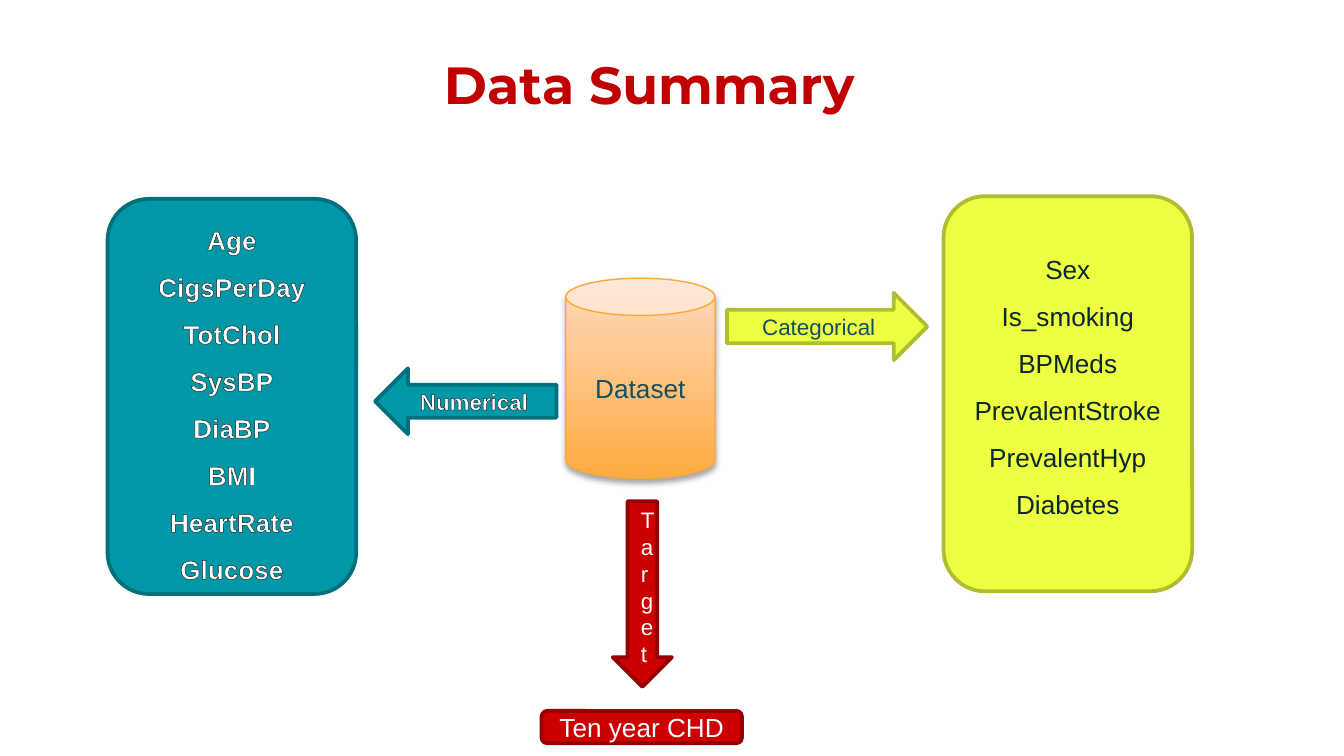
from dataclasses import dataclass

from lxml.etree import SubElement
from pptx import Presentation
from pptx.dml.color import RGBColor
from pptx.enum.shapes import MSO_SHAPE
from pptx.enum.text import MSO_ANCHOR, MSO_AUTO_SIZE, PP_ALIGN
from pptx.oxml.ns import qn
from pptx.util import Inches, Pt

UNIT = 0.1  # grid step in inches: 100 columns across the slide


@dataclass(frozen=True)
class Theme:
    heading_font: str = "Montserrat"
    body_font: str = "Arial"
    title_size: int = 28
    body_size: int = 14
    label_size: int = 12
    title: str = "C00000"
    # Each family is (fill, border, text)
    teal: tuple = ("0097A7", "00707C", "FFFFFF")
    lime: tuple = ("EEFF41", "B0BD30", "0A272E")
    red: tuple = ("CC0000", "970000", "F5FDFF")
    orange: tuple = ("FFAB40", "FEA83A", "134F5C")
    orange_light: str = "FFDAC0"
    # Letter outlines are (colour, width)
    dark_outline: tuple = ("212121", 0.52)
    ink_outline: tuple = ("0A272E", 0.75)
    red_outline: tuple = ("C00000", 0.75)
    red_hairline: tuple = ("C00000", 0)


def grid(*units):
    return [Inches(u * UNIT) for u in units]


def add_solid(parent, color, alpha=None):
    clr = SubElement(parent, qn("a:srgbClr"), val=color)
    if alpha is not None:
        SubElement(clr, qn("a:alpha"), val=str(alpha * 1000))


def write(tf, text, *, size, color, font, bold=False, spacing=None, outline=None):
    """Fill a text frame with one centred paragraph per line of text."""
    for i, line in enumerate(text.split("\n")):
        p = tf.add_paragraph() if i else tf.paragraphs[0]
        p.alignment = PP_ALIGN.CENTER
        if spacing:
            p.line_spacing = spacing
        r = p.add_run()
        r.text = line
        r.font.name, r.font.size, r.font.bold = font, Pt(size), bold
        r.font.color.rgb = RGBColor.from_string(color)
        if outline:
            ln = SubElement(r.font._element, qn("a:ln"), w=str(Pt(outline[1])))
            add_solid(SubElement(ln, qn("a:solidFill")), outline[0])
            r.font._element.insert(0, ln)


class SlideBuilder:
    def __init__(self, prs, theme):
        self.theme = theme
        self.s = prs.slides.add_slide(prs.slide_layouts[5])

    def title(self, text, *box):
        sp = self.s.shapes.title
        sp.left, sp.top, sp.width, sp.height = grid(*box)
        tf = sp.text_frame
        tf.auto_size, tf.word_wrap = MSO_AUTO_SIZE.NONE, True
        tf.vertical_anchor = MSO_ANCHOR.TOP
        tf.margin_left = tf.margin_right = tf.margin_top = tf.margin_bottom = Inches(0.1)
        write(tf, text, size=self.theme.title_size, color=self.theme.title,
              font=self.theme.heading_font, bold=True, spacing=0.9)

    def block(self, kind, text, family, *box, size=None, color=None, border=2, **fmt):
        fill, line, ink = family
        sp = self.s.shapes.add_shape(kind, *grid(*box))
        sp.shadow.inherit = False
        sp.fill.solid()
        sp.fill.fore_color.rgb = RGBColor.from_string(fill)
        sp.line.color.rgb = RGBColor.from_string(line)
        sp.line.width = Pt(border)
        write(sp.text_frame, text, size=size or self.theme.body_size,
              color=color or ink, font=self.theme.body_font, **fmt)
        return sp

    def panel(self, names, family, *box, **fmt):
        return self.block(MSO_SHAPE.ROUNDED_RECTANGLE, "\n".join(names), family,
                          *box, spacing=1.5, **fmt)

    def arrow(self, kind, text, family, *box, **fmt):
        return self.block(kind, text, family, *box, size=self.theme.label_size, **fmt)

    def cylinder(self, text, *box):
        t = self.theme
        sp = self.block(MSO_SHAPE.CAN, text, t.orange, *box, border=0.75,
                        outline=t.ink_outline)
        sp.fill.gradient()
        sp.fill.gradient_angle = 90
        for stop, color in zip(sp.fill.gradient_stops, (t.orange[0], t.orange_light)):
            stop.color.rgb = RGBColor.from_string(color)
        # Soft shadow straight below
        effects = sp._element.spPr.find(qn("a:effectLst"))
        shadow = SubElement(effects, qn("a:outerShdw"), blurRad=str(Pt(3.1)),
                            dist=str(Pt(1.8)), dir="5400000", rotWithShape="0")
        add_solid(shadow, "000000", alpha=35)


def main():
    prs = Presentation()
    prs.slide_width = Inches(10)
    prs.slide_height = prs.slide_width * 9 // 16
    t = Theme()
    b = SlideBuilder(prs, t)

    b.title("Data Summary", 2.7, 3.4, 91.2, 5.3)

    # Source of the data
    b.cylinder("Dataset", 42.1, 20.7, 11.1, 14.9)

    # Feature lists
    categorical = b.panel(
        ["Sex", "Is_smoking", "BPMeds", "PrevalentStroke", "PrevalentHyp", "Diabetes"],
        t.lime, 70.2, 14.6, 18.5, 29.4, outline=t.red_hairline)
    categorical.text_frame.margin_bottom = Inches(0.27)
    b.panel(
        ["Age", "CigsPerDay", "TotChol", "SysBP", "DiaBP", "BMI", "HeartRate", "Glucose"],
        t.teal, 8, 14.8, 18.5, 29.4, bold=True, outline=t.dark_outline)

    # Arrows from the dataset to each group
    b.arrow(MSO_SHAPE.RIGHT_ARROW, "Categorical", t.lime, 54.1, 21.8, 14.9, 5,
            color=t.orange[2], outline=t.red_outline)
    b.arrow(MSO_SHAPE.LEFT_ARROW, "Numerical", t.teal, 27.9, 27.4, 13.5, 4.9,
            bold=True, outline=t.dark_outline)
    b.arrow(MSO_SHAPE.DOWN_ARROW, "Target", t.red, 45.6, 37.3, 4.4, 13.8)

    # Target variable
    b.block(MSO_SHAPE.ROUNDED_RECTANGLE, "Ten year CHD", t.red, 40.3, 52.9, 14.9, 2.4)

    prs.save("out.pptx")


if __name__ == "__main__":
    main()
